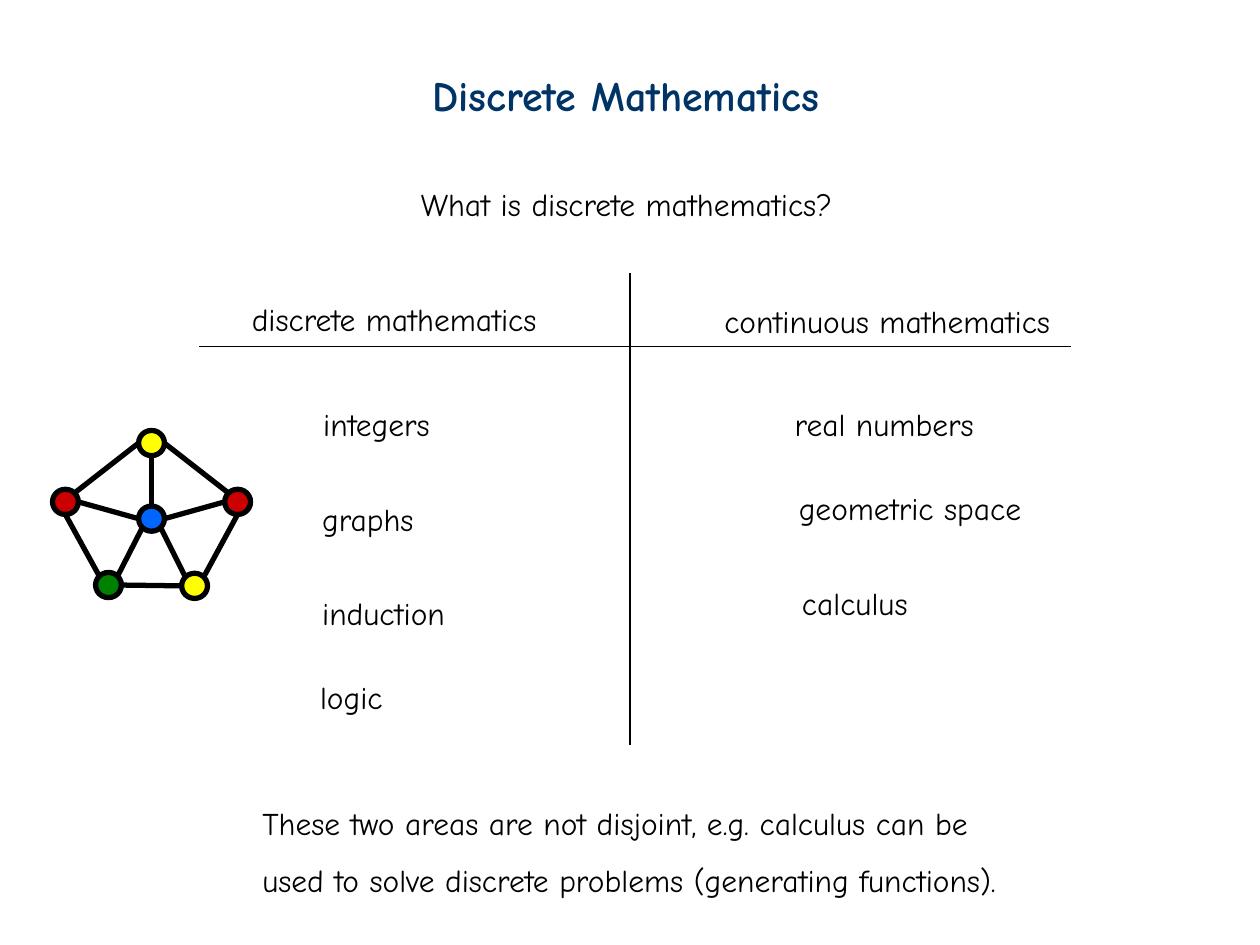
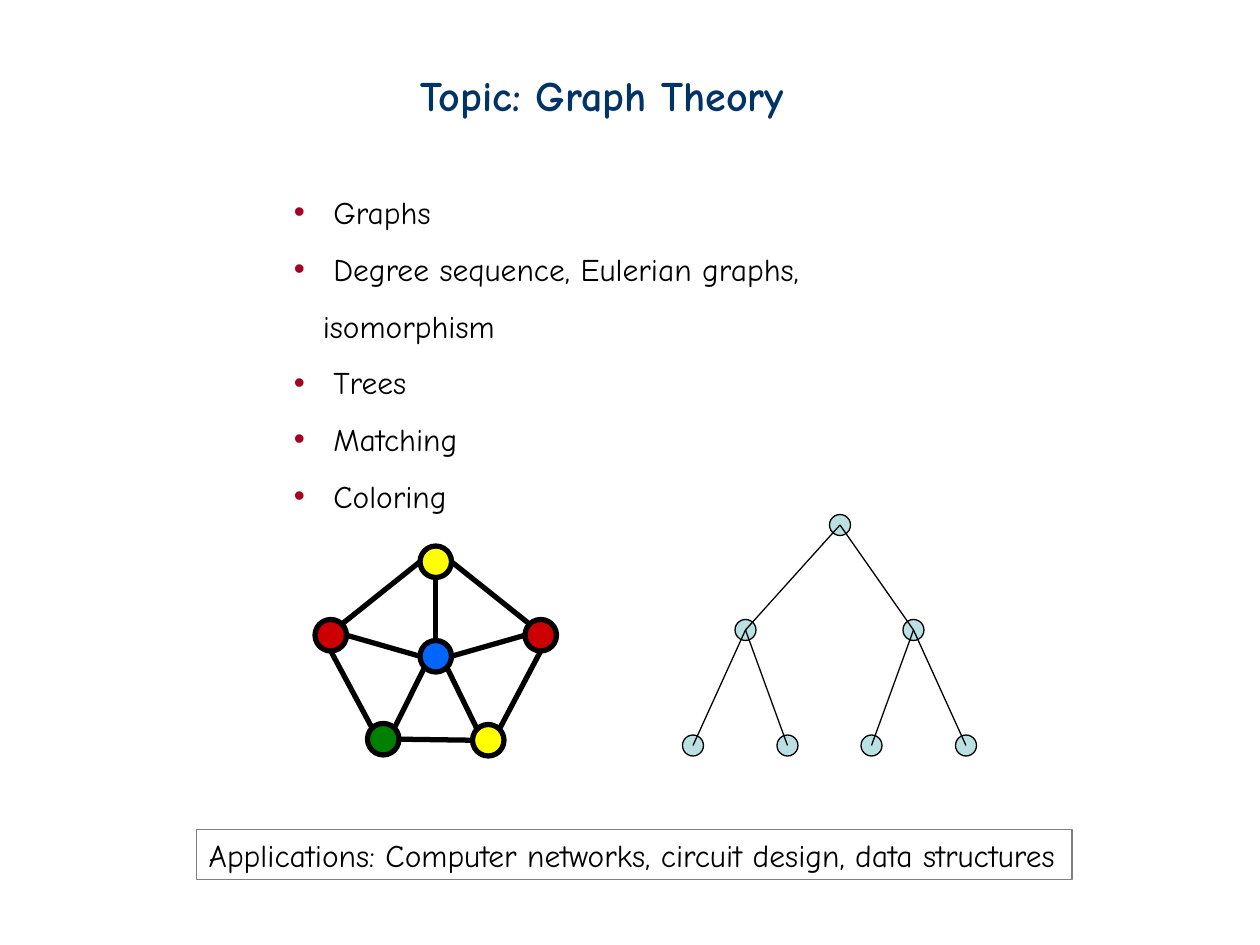
from dataclasses import dataclass
from math import cos, pi, sin

from lxml.etree import SubElement
from pptx import Presentation
from pptx.dml.color import RGBColor
from pptx.enum.shapes import MSO_CONNECTOR as Connector, MSO_SHAPE as Preset
from pptx.enum.text import MSO_ANCHOR as Anchor, MSO_AUTO_SIZE as AutoSize, PP_ALIGN as Align
from pptx.oxml.ns import qn
from pptx.util import Inches, Pt

CELLS_PER_INCH = 12
COLUMNS, ROWS = 120, 90
LABEL_ROWS = 4.8


@dataclass(frozen=True)
class Theme:
    """Colours, fonts, type sizes and line widths shared by the slides."""
    font: str = "Comic Neue"
    bullet_font: str = "Arial"
    title_size: int = 24
    body_size: int = 18
    line_spacing: float = 1.5
    title: str = "003366"
    ink: str = "000000"
    bullet: str = "A50021"
    frame: str = "808080"
    tree: str = "BBE0E3"
    thin: float = 0.75
    thick: float = 3


THEME = Theme()
FRAME_FORMAT = {
    "word_wrap": True, "auto_size": AutoSize.SHAPE_TO_FIT_TEXT, "vertical_anchor": Anchor.TOP,
    "margin_left": Inches(0.1), "margin_right": Inches(0.1),
    "margin_top": Inches(0.05), "margin_bottom": Inches(0.05),
}

COMPARISON_LABELS = [
    ("What is discrete mathematics?", 38.9, 17, 43),
    ("discrete mathematics", 22.8, 28, 31),
    ("continuous mathematics", 67.8, 28.2, 35),
    ("integers", 29.6, 38, 14),
    ("graphs", 29.5, 47, 12),
    ("induction", 29.5, 56, 15),
    ("logic", 29.3, 64, 9.5),
    ("real numbers", 74.5, 38, 21),
    ("geometric space", 74.9, 46, 25),
    ("calculus", 75.2, 55, 14),
]
CONCLUSION = [
    "These two areas are not disjoint, e.g. calculus can be",
    "used to solve discrete problems (generating functions).",
]
TOPICS = ["Graphs", "Degree sequence, Eulerian graphs, isomorphism", "Trees", "Matching", "Coloring"]

WHEEL_RADIUS = 1.5
WHEEL_NODES = {
    "lower left": (6.5, 18.4, "008000"),
    "left": (1.5, 8.5, "CC0000"),
    "right": (21.5, 8.5, "CC0000"),
    "top": (11.5, 1.5, "FFFF00"),
    "lower right": (16.5, 18.5, "FFFF00"),
    "hub": (11.5, 10.5, "0066FF"),
}
WHEEL_EDGES = [
    ("lower left", 6, "lower right", 2), ("top", 6, "right", 1), ("right", 4, "lower right", 7),
    ("top", 2, "left", 7), ("left", 4, "lower left", 1), ("top", 4, "hub", 0),
    ("hub", 6, "right", 2), ("hub", 5, "lower right", 1), ("hub", 3, "lower left", 7),
    ("hub", 2, "left", 6),
]

TREE_RADIUS = 1
TREE_LEVELS = [(50, [80]), (60, [71, 87]), (71, [66, 75, 83, 92])]


def cells(*counts):
    """Turn grid counts into lengths."""
    return [Inches(count / CELLS_PER_INCH) for count in counts]


def apply_format(target, values):
    """Set each named attribute of the target."""
    for name, value in values.items():
        setattr(target, name, value)


def style_line(line, color, width):
    """Give a line its colour and width."""
    line.color.rgb = RGBColor.from_string(color)
    line.width = Pt(width)


def write_text(shape, lines, size=THEME.body_size, color=THEME.ink, bold=False):
    """Fill a shape with one left-aligned paragraph per line."""
    frame = shape.text_frame
    apply_format(frame, FRAME_FORMAT)
    frame.text = "\n".join(lines)
    for paragraph in frame.paragraphs:
        paragraph.alignment = Align.LEFT
        font = paragraph.runs[0].font
        apply_format(font, {"name": THEME.font, "size": Pt(size), "bold": bold})
        font.color.rgb = RGBColor.from_string(color)


def add_titled_slide(presentation, title, left, width):
    """Add a title-only slide and format its title."""
    slide = presentation.slides.add_slide(presentation.slide_layouts[5])
    shape = slide.shapes.title
    places = cells(left, 6, width, 6)
    apply_format(shape, dict(zip(("left", "top", "width", "height"), places)))
    write_text(shape, [title], THEME.title_size, THEME.title, True)
    return slide


def add_text(slide, lines, left, top, width, height=LABEL_ROWS):
    """Add a text box placed on the grid."""
    shape = slide.shapes.add_textbox(*cells(left, top, width, height))
    write_text(shape, lines)
    return shape


def add_bullets(slide, items, *place):
    """Add a list with coloured bullets."""
    shape = add_text(slide, [f" {item}" for item in items], *place)
    hanging = Inches(0.23)
    for paragraph in shape.text_frame.paragraphs:
        paragraph.line_spacing = THEME.line_spacing
        properties = paragraph._p.get_or_add_pPr()
        properties.set("marL", str(hanging))
        properties.set("indent", str(-hanging))
        SubElement(SubElement(properties, qn("a:buClr")), qn("a:srgbClr"), val=THEME.bullet)
        SubElement(properties, qn("a:buFont"), typeface=THEME.bullet_font)
        SubElement(properties, qn("a:buChar"), char="•")


def add_line(shapes, start, end, width=THEME.thin):
    """Draw a straight line between two grid points."""
    connector = shapes.add_connector(Connector.STRAIGHT, *cells(*start, *end))
    style_line(connector.line, THEME.ink, width)
    SubElement(connector._element.spPr, qn("a:effectLst"))


def add_node(shapes, center, radii, fill, width=THEME.thin):
    """Draw a graph node around its centre."""
    (x, y), (radius_x, radius_y) = center, radii
    box = cells(x - radius_x, y - radius_y, 2 * radius_x, 2 * radius_y)
    node = shapes.add_shape(Preset.OVAL, *box)
    node.shadow.inherit = False
    node.fill.solid()
    node.fill.fore_color.rgb = RGBColor.from_string(fill)
    style_line(node.line, THEME.ink, width)


def add_wheel_graph(slide, left, top, scale_x=1, scale_y=1):
    """Draw the coloured wheel graph as one group."""
    shapes = slide.shapes.add_group_shape().shapes
    radii = WHEEL_RADIUS * scale_x, WHEEL_RADIUS * scale_y
    centers = {name: (left + x * scale_x, top + y * scale_y)
               for name, (x, y, _) in WHEEL_NODES.items()}

    def rim(name, site):
        """Find one of eight sites, counted anticlockwise from the top."""
        angle = site * pi / 4
        x, y = centers[name]
        return x - radii[0] * sin(angle), y - radii[1] * cos(angle)

    for name, (_, _, fill) in WHEEL_NODES.items():
        add_node(shapes, centers[name], radii, fill, THEME.thick)
    for start, start_site, end, end_site in WHEEL_EDGES:
        add_line(shapes, rim(start, start_site), rim(end, end_site), THEME.thick)


def add_binary_tree(slide):
    """Draw a binary tree with lines running to the node centres."""
    nodes = [(x, y) for y, level in TREE_LEVELS for x in level]
    for center in nodes:
        add_node(slide.shapes, center, (TREE_RADIUS, TREE_RADIUS), THEME.tree)
    for index, child in enumerate(nodes[1:]):
        add_line(slide.shapes, nodes[index // 2], child)


def build_comparison(presentation):
    """Compare discrete with continuous mathematics."""
    slide = add_titled_slide(presentation, "Discrete Mathematics", 40, 40)
    for text, *place in COMPARISON_LABELS:
        add_text(slide, [text], *place)
    add_line(slide.shapes, (COLUMNS / 2, 26), (COLUMNS / 2, 71))
    add_line(slide.shapes, (19, 33), (102, 33))
    add_wheel_graph(slide, 5, 41, 0.82, 0.8)
    conclusion = add_text(slide, CONCLUSION, 23.8, 76, 75, 10.2)
    conclusion.text_frame.paragraphs[1].line_spacing = THEME.line_spacing


def build_graph_theory(presentation):
    """List the graph theory topics with two example graphs."""
    slide = add_titled_slide(presentation, "Topic: Graph Theory", 38.8, 38)
    add_bullets(slide, TOPICS, 26.8, 16, 66.1, 28.2)
    applications = ["Applications: Computer networks, circuit design, data structures"]
    box = add_text(slide, applications, 18.7, 79, 83.4)
    style_line(box.line, THEME.frame, THEME.thin)
    add_wheel_graph(slide, 30, 52)
    add_binary_tree(slide)


def main():
    """Build and save the presentation."""
    presentation = Presentation()
    presentation.slide_width, presentation.slide_height = cells(COLUMNS, ROWS)
    build_comparison(presentation)
    build_graph_theory(presentation)
    presentation.save("out.pptx")


if __name__ == "__main__":
    main()
